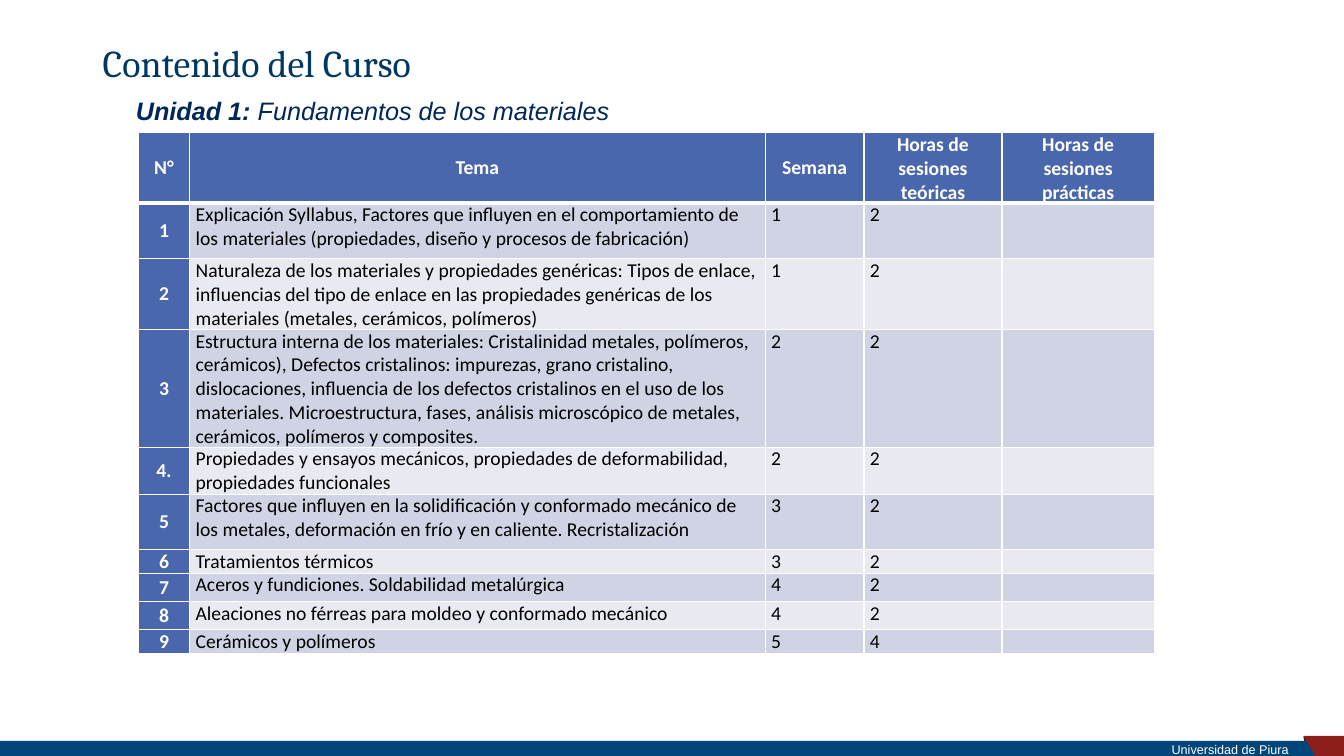
from lxml import etree
from pptx import Presentation
from pptx import util as u
from pptx.dml import color
from pptx.enum import shapes, text
from pptx.oxml import ns

NAVY, BLUE, WHITE, BLACK = "003863", "4A66AC", "FFFFFF", "000000"
BANDS = ("D0D3E3", "E9EAF1")
PAGE_WIDTH, PAGE_HEIGHT = 960, 540
COLUMN_WIDTHS = (36.7, 411.1, 70.6, 98.6, 108.8)
ROW_HEIGHTS = (45.4, 39.6, 49.7, 79.2, 29.5, 39.6, 10.1, 20.2, 20.2, 10.1)
HEADINGS = ("N°", "Tema", "Semana", "Horas de sesiones teóricas",
            "Horas de sesiones prácticas")
TOPICS = (
    ("1", "Explicación Syllabus, Factores que influyen en el comportamiento de los "
     "materiales (propiedades, diseño y procesos de fabricación)", "1", "2", ""),
    ("2", "Naturaleza de los materiales y propiedades genéricas: Tipos de enlace, "
     "influencias del tipo de enlace en las propiedades genéricas de los materiales "
     "(metales, cerámicos, polímeros)", "1", "2", ""),
    ("3", "Estructura interna de los materiales: Cristalinidad metales, polímeros, "
     "cerámicos), Defectos cristalinos: impurezas, grano cristalino, dislocaciones, "
     "influencia de los defectos cristalinos en el uso de los materiales. "
     "Microestructura, fases, análisis microscópico de metales, cerámicos, "
     "polímeros y composites.", "2", "2", ""),
    ("4.", "Propiedades y ensayos mecánicos, propiedades de deformabilidad, "
     "propiedades funcionales", "2", "2", ""),
    ("5", "Factores que influyen en la solidificación y conformado mecánico de los "
     "metales, deformación en frío y en caliente. Recristalización", "3", "2", ""),
    ("6", "Tratamientos térmicos", "3", "2", ""),
    ("7", "Aceros y fundiciones. Soldabilidad metalúrgica", "4", "2", ""),
    ("8", "Aleaciones no férreas para moldeo y conformado mecánico", "4", "2", ""),
    ("9", "Cerámicos y polímeros", "5", "4", ""),
)


def rgb(value):
    return color.RGBColor.from_string(value)


def set_values(target, **values):
    for name, value in values.items():
        setattr(target, name, value)


def add_span(para, words, size, font, hue, **values):
    span = para.add_run()
    span.text = words
    set_values(span.font, size=u.Pt(size), name=font, **values)
    span.font.color.rgb = rgb(hue)


def paint(shape, hue):
    shape.shadow.inherit = False
    shape.fill.solid()
    shape.fill.fore_color.rgb = rgb(hue)
    shape.line.fill.background()


def add_polygon(page, hue, points):
    corners = [(u.Pt(x), u.Pt(y)) for x, y in points]
    builder = page.shapes.build_freeform(*corners[0])
    builder.add_line_segments(corners[1:], close=True)
    paint(builder.convert_to_shape(), hue)


def add_footer(page, left, top, width, height):
    right, bottom, fold = left + width, top + height, left + width - 29
    add_polygon(page, "49100F", [(fold, top - 3), (fold + 0.7, top),
                                 (fold + 0.9, top + 4), (fold + 8, top - 3)])
    bar = page.shapes.add_shape(shapes.MSO_SHAPE.RECTANGLE, u.Pt(left), u.Pt(top),
                                u.Pt(width), u.Pt(height))
    paint(bar, "00467A")
    label = page.shapes.add_textbox(u.Pt(left + width / 2), u.Pt(top - 0.5),
                                    u.Pt(width / 2), u.Pt(height))
    frame = label.text_frame
    set_values(frame, word_wrap=True, vertical_anchor=text.MSO_ANCHOR.MIDDLE,
               margin_left=u.Pt(7.2), margin_right=u.Pt(39.6),
               margin_top=0, margin_bottom=0)
    para = frame.paragraphs[0]
    set_values(para, alignment=text.PP_ALIGN.RIGHT, line_spacing=1.2)
    add_span(para, "Universidad de Piura", 9, "Arial", WHITE)
    add_polygon(page, "8C1F1C", [(fold, top - 3.5), (right, top - 3.5),
                                 (right, bottom), (fold + 8.6, bottom)])


def add_title(page, left, top, width, height):
    title = page.shapes.title
    set_values(title, left=u.Pt(left), top=u.Pt(top),
               width=u.Pt(width), height=u.Pt(height))
    frame = title.text_frame
    set_values(frame, word_wrap=True, vertical_anchor=text.MSO_ANCHOR.MIDDLE,
               auto_size=text.MSO_AUTO_SIZE.NONE)
    para = frame.paragraphs[0]
    set_values(para, alignment=text.PP_ALIGN.LEFT, line_spacing=0.9)
    add_span(para, "Contenido del Curso", 27, "Cambria", NAVY)


def add_unit_heading(page, left, top, width, height):
    box = page.shapes.add_textbox(u.Pt(left), u.Pt(top), u.Pt(width), u.Pt(height))
    set_values(box.text_frame, word_wrap=False,
               auto_size=text.MSO_AUTO_SIZE.SHAPE_TO_FIT_TEXT)
    para = box.text_frame.paragraphs[0]
    para.alignment = text.PP_ALIGN.JUSTIFY
    para._p.get_or_add_pPr().set("marL", str(u.Pt(5)))
    for words, bold in (("Unidad 1:", True), (" Fundamentos de los materiales", False)):
        add_span(para, words, 18, "Arial", "002856", bold=bold, italic=True)


def add_borders(cell, bottom):
    """Draw white cell edges, one point wide except the bottom one."""
    properties = cell._tc.get_or_add_tcPr()
    edges = (("lnL", 1), ("lnR", 1), ("lnT", 1), ("lnB", bottom))
    for place, (edge, weight) in enumerate(edges):
        line = etree.Element(ns.qn("a:" + edge), w=str(u.Pt(weight)))
        fill = etree.SubElement(line, ns.qn("a:solidFill"))
        etree.SubElement(fill, ns.qn("a:srgbClr"), val=WHITE)
        properties.insert(place, line)


def fill_cell(cell, words, hue, is_heading, bottom):
    set_values(cell, margin_left=u.Pt(4.3), margin_right=u.Pt(4.3),
               margin_top=0, margin_bottom=0)
    cell.fill.solid()
    cell.fill.fore_color.rgb = rgb(hue)
    add_borders(cell, bottom)
    para = cell.text_frame.paragraphs[0]
    if is_heading:
        cell.vertical_anchor = text.MSO_ANCHOR.MIDDLE
        para.alignment = text.PP_ALIGN.CENTER
    if words:
        add_span(para, words, 14, "Calibri", WHITE if is_heading else BLACK,
                 bold=is_heading)
    else:
        etree.SubElement(para._p, ns.qn("a:endParaRPr"), sz="1400")


def add_topics_table(page, left, top):
    rows = (HEADINGS,) + TOPICS
    frame = page.shapes.add_table(len(rows), len(HEADINGS), u.Pt(left), u.Pt(top),
                                  u.Pt(sum(COLUMN_WIDTHS)), u.Pt(sum(ROW_HEIGHTS)))
    table = frame.table
    table.first_col = True
    for column, width in zip(table.columns, COLUMN_WIDTHS):
        column.width = u.Pt(width)
    for i, (row, height, words) in enumerate(zip(table.rows, ROW_HEIGHTS, rows)):
        row.height = u.Pt(height)
        for j, cell in enumerate(row.cells):
            is_heading = i == 0 or j == 0
            hue = BLUE if is_heading else BANDS[(i - 1) % 2]
            fill_cell(cell, words[j], hue, is_heading, 3 if i == 0 else 1)


def main():
    deck = Presentation()
    set_values(deck, slide_width=u.Pt(PAGE_WIDTH), slide_height=u.Pt(PAGE_HEIGHT))
    page = deck.slides.add_slide(deck.slide_layouts[5])
    add_footer(page, 0, PAGE_HEIGHT - 10.8, PAGE_WIDTH, 10.8)
    add_title(page, 66.2, 28.8, 828, 36)
    add_topics_table(page, 98.8, 94.8)
    add_unit_heading(page, 85, 64.8, 360.7, 28.8)
    deck.save("out.pptx")


if __name__ == "__main__":
    main()
